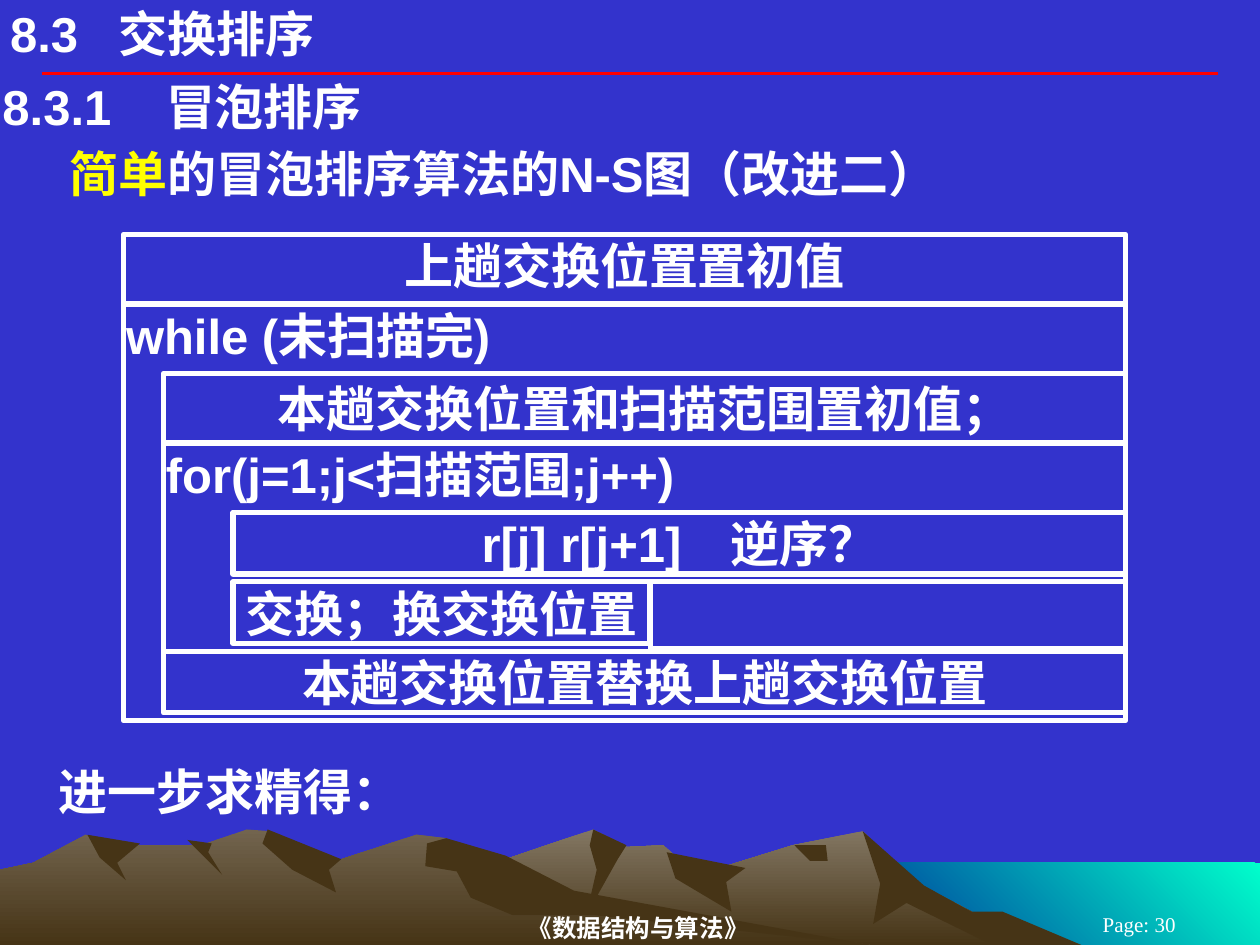
from dataclasses import dataclass
from typing import Optional

from lxml.etree import SubElement
from pptx import Presentation
from pptx.dml.color import RGBColor
from pptx.enum.shapes import MSO_CONNECTOR, MSO_SHAPE
from pptx.enum.text import MSO_ANCHOR, MSO_AUTO_SIZE, PP_ALIGN
from pptx.oxml.ns import qn
from pptx.util import Pt

COLORS = {
    "background": "3333CC", "text": "FFFFFF", "accent": "FFFF00", "rule": "FF0000",
    "shadow": "463416", "far_ridge": "837763", "near_ridge": "72644E",
    "sea_light": "00FFCC", "sea_dark": "003399",
}
WIDTH, HEIGHT = 720, 540
RULE_INSET, RULE_TOP = 24, 42
CHART_TOP, ROW_STEP, CHART_RIGHT = 134, 39.7, 643.2
LINE_HEIGHT = 35.2
OUTER, WHILE_BODY, FOR_BODY, ELSE_BRANCH = 70.6, 93.4, 133.2, 371.5


@dataclass
class Land:
    outline: list[tuple[int, int]]
    top_color: str = "shadow"
    bottom_color: Optional[str] = None
    angle: int = 270


@dataclass
class Block:
    text: str
    left: float
    row: int
    height: float = LINE_HEIGHT
    right: float = CHART_RIGHT
    filled: bool = True
    align: PP_ALIGN = PP_ALIGN.CENTER
    anchor: MSO_ANCHOR = MSO_ANCHOR.TOP


@dataclass
class Caption:
    runs: list[tuple[str, str]]
    top: float = 0
    left: float = 0
    width: float = WIDTH
    height: float = LINE_HEIGHT
    size: float = 28
    font: str = "Arial"
    bold: bool = True
    align: PP_ALIGN = PP_ALIGN.LEFT
    anchor: MSO_ANCHOR = MSO_ANCHOR.TOP
    indent: float = 1.44
    right_inset: float = 1.44
    inset_y: float = 0.72
    tab: Optional[float] = None


LANDSCAPE = [
    # Sea
    Land([(WIDTH, HEIGHT), (492, HEIGHT), (492, 493), (WIDTH, 493)],
         "sea_light", "sea_dark", 225),
    # Far ridge and its shaded sides
    Land([(186, HEIGHT), (283, 493), (324, 479), (339, 474), (358, 484), (379, 483),
          (389, 492), (408, 497), (453, 483), (493, 475), (521, 503), (591, HEIGHT)],
         "far_ridge", "shadow"),
    Land([(493, 475), (503, 505), (499, 528), (518, 516), (567, HEIGHT), (618, HEIGHT),
          (573, 521), (555, 521), (528, 506)]),
    Land([(339, 474), (337, 483), (341, 497), (335, 523), (353, 491), (358, 483)]),
    Land([(381, 487), (386, 502), (418, 521), (415, 504), (426, 496)]),
    Land([(454, 483), (463, 492), (473, 492), (472, 483)]),
    # Near ridge and its shaded sides
    Land([(0, HEIGHT), (0, 497), (19, 493), (49, 477), (68, 483), (115, 483), (141, 474),
          (155, 475), (170, 490), (195, 491), (238, 477), (255, 479), (311, 513),
          (497, HEIGHT)], "near_ridge", "shadow"),
    Land([(153, 474), (150, 482), (167, 497), (192, 510), (188, 497), (195, 491)]),
    Land([(255, 479), (244, 482), (243, 495), (261, 498), (269, 513), (293, 523),
          (340, 523), (497, HEIGHT), (328, 509), (289, 489)]),
    Land([(107, 480), (127, 500), (119, 487), (121, 482)]),
    Land([(50, 477), (57, 490), (72, 503), (67, 493), (80, 482)]),
]

TITLE = Caption([("8.3\t交换排序", "text")], 2.2, 5.8, 468, indent=0, right_inset=0,
                inset_y=0, tab=62)
CAPTIONS = [
    Caption([("《数据结构与算法》", "text")], 520, 150, 436, 20, 14, "Times New Roman",
            align=PP_ALIGN.CENTER, anchor=MSO_ANCHOR.MIDDLE, right_inset=8),
    Caption([("Page: 30", "text")], 522, 594, 114, 12.2, 12, "Times New Roman", False,
            PP_ALIGN.CENTER, MSO_ANCHOR.MIDDLE),
    Caption([("8.3.1\t冒泡排序", "text")], 43.2, tab=93.5),
    Caption([("简单", "accent"), ("的冒泡排序算法的N-S图（改进二）", "text")], 81.4, indent=40),
    Caption([("进一步求精得：", "text")], 434.2, indent=33.6),
]
BLOCKS = [
    Block("while (未扫描完)", OUTER, 1, 6 * ROW_STEP, filled=False, align=PP_ALIGN.LEFT),
    Block("for(j=1;j<扫描范围;j++)", WHILE_BODY, 3, 3 * ROW_STEP, align=PP_ALIGN.LEFT),
    Block("r[j] r[j+1]　逆序？", FOR_BODY, 4),
    Block("交换；换交换位置", FOR_BODY, 5, right=ELSE_BRANCH),
    Block("上趟交换位置置初值", OUTER, 0, ROW_STEP, filled=False),
    Block("本趟交换位置和扫描范围置初值；", WHILE_BODY, 2, ROW_STEP, filled=False,
          anchor=MSO_ANCHOR.MIDDLE),
    Block("", ELSE_BRANCH, 5, 38.2),
    Block("本趟交换位置替换上趟交换位置", WHILE_BODY, 6),
]


def color(name: str) -> RGBColor:
    return RGBColor.from_string(COLORS[name])


def write_caption(shape, caption: Caption) -> None:
    frame = shape.text_frame
    frame.word_wrap = True
    frame.auto_size = MSO_AUTO_SIZE.NONE
    frame.vertical_anchor = caption.anchor
    frame.margin_left, frame.margin_right = Pt(caption.indent), Pt(caption.right_inset)
    frame.margin_top = frame.margin_bottom = Pt(caption.inset_y)
    paragraph = frame.paragraphs[0]
    paragraph.alignment = caption.align
    if caption.tab:
        tabs = SubElement(paragraph._p.get_or_add_pPr(), qn("a:tabLst"))
        SubElement(tabs, qn("a:tab"), pos=str(Pt(caption.tab)), algn="l")
    paragraph.font.size = Pt(caption.size)
    paragraph.font.name = caption.font
    paragraph.font.bold = caption.bold
    for words, color_name in caption.runs:
        run = paragraph.add_run()
        run.text = words
        run.font.color.rgb = color(color_name)


def draw_land(slide, land: Land) -> None:
    start, *rest = land.outline
    builder = slide.shapes.build_freeform(*start, scale=Pt(1))
    builder.add_line_segments(rest, close=True)
    shape = builder.convert_to_shape()
    shape.shadow.inherit = False
    shape.line.fill.background()
    if land.bottom_color is None:
        shape.fill.solid()
        shape.fill.fore_color.rgb = color(land.top_color)
        return
    shape.fill.gradient()
    shape.fill.gradient_angle = land.angle
    for stop, name in zip(shape.fill.gradient_stops, (land.top_color, land.bottom_color)):
        stop.color.rgb = color(name)


def draw_block(slide, block: Block) -> None:
    top, width = CHART_TOP + block.row * ROW_STEP, block.right - block.left
    shape = slide.shapes.add_shape(
        MSO_SHAPE.RECTANGLE, Pt(block.left), Pt(top), Pt(width), Pt(block.height))
    shape.shadow.inherit = False
    shape.line.color.rgb = color("text")
    shape.line.width = Pt(3)
    if block.filled:
        shape.fill.solid()
        shape.fill.fore_color.rgb = color("background")
    else:
        shape.fill.background()
    if block.text:
        write_caption(shape, Caption([(block.text, "text")], align=block.align,
                                     anchor=block.anchor))


def main() -> None:
    deck = Presentation()
    deck.slide_width, deck.slide_height = Pt(WIDTH), Pt(HEIGHT)
    slide = deck.slides.add_slide(deck.slide_layouts[5])
    slide.background.fill.solid()
    slide.background.fill.fore_color.rgb = color("background")

    # Landscape and header rule
    for land in LANDSCAPE:
        draw_land(slide, land)
    rule = slide.shapes.add_connector(MSO_CONNECTOR.STRAIGHT, Pt(RULE_INSET), Pt(RULE_TOP),
                                      Pt(WIDTH - RULE_INSET), Pt(RULE_TOP))
    rule.line.color.rgb = color("rule")
    rule.line.width = Pt(2.25)
    SubElement(rule._element.spPr, qn("a:effectLst"))

    # Title, headings and footer
    title = slide.shapes.title
    title.left, title.top = Pt(TITLE.left), Pt(TITLE.top)
    title.width, title.height = Pt(TITLE.width), Pt(TITLE.height)
    write_caption(title, TITLE)
    for caption in CAPTIONS:
        box = slide.shapes.add_textbox(
            Pt(caption.left), Pt(caption.top), Pt(caption.width), Pt(caption.height))
        write_caption(box, caption)

    # N-S chart
    for block in BLOCKS:
        draw_block(slide, block)

    deck.save("out.pptx")


if __name__ == "__main__":
    main()
